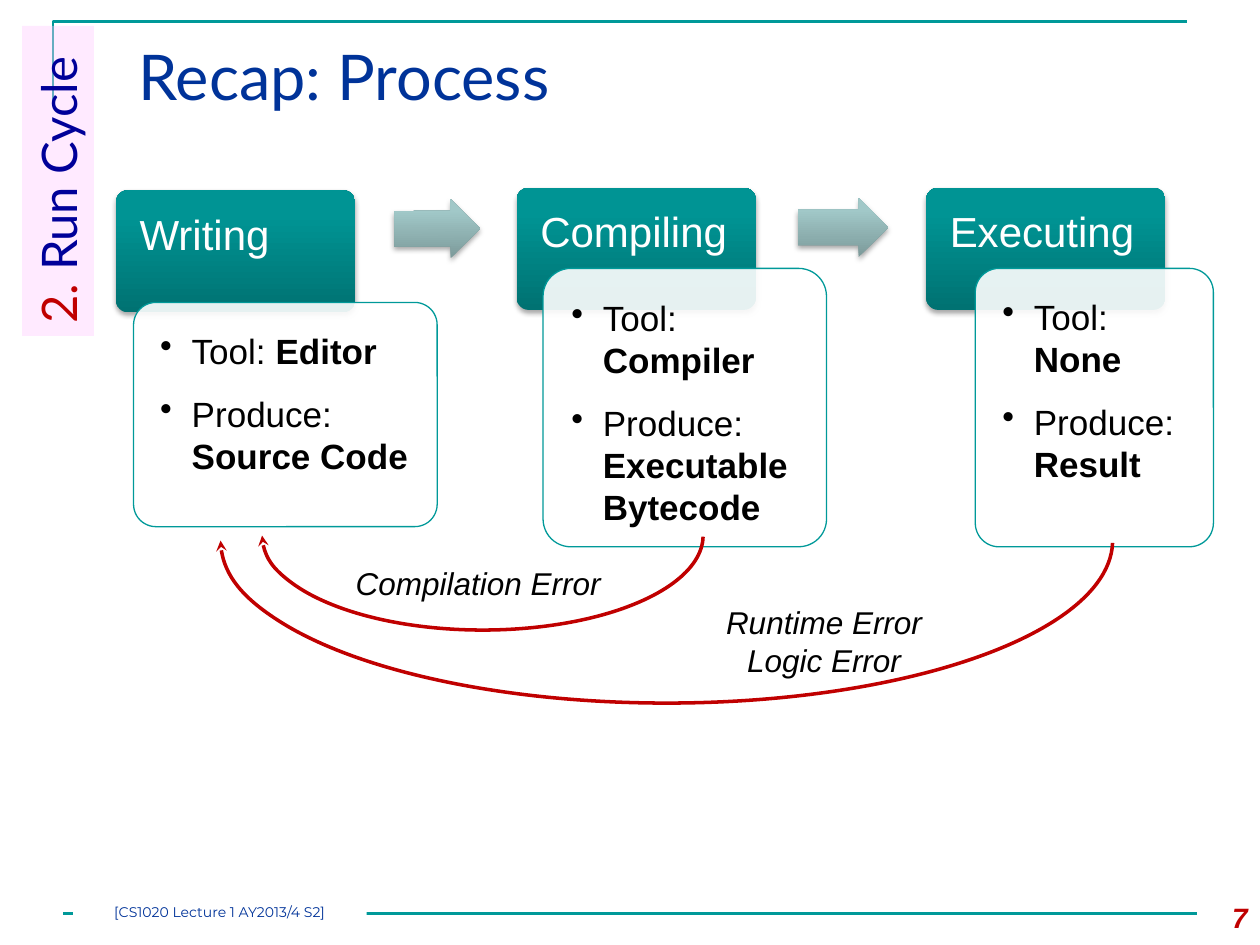
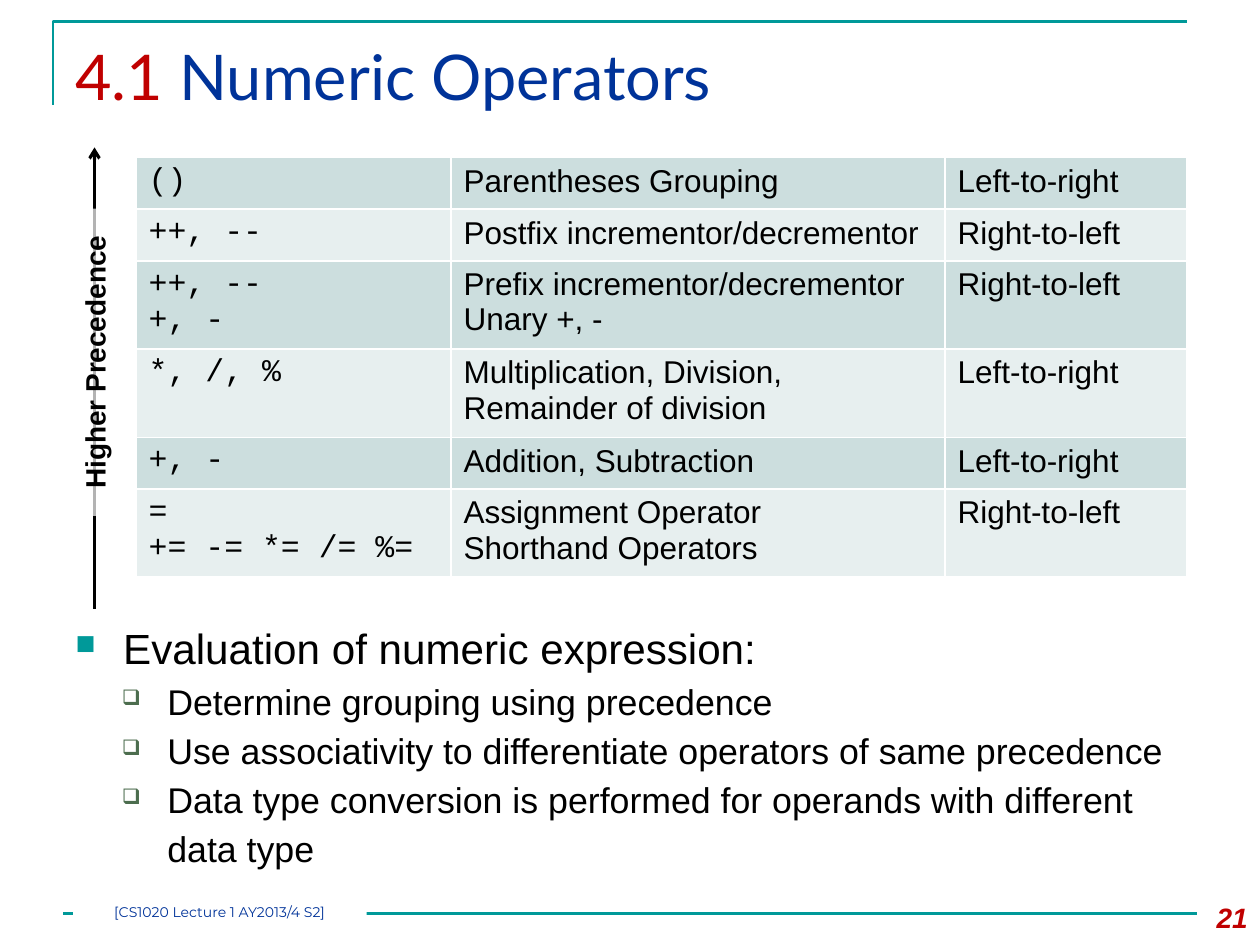
from lxml import etree
from pptx import Presentation
from pptx.dml.color import RGBColor
from pptx.enum.shapes import MSO_CONNECTOR, MSO_SHAPE
from pptx.enum.text import MSO_ANCHOR, PP_ALIGN
from pptx.oxml.ns import qn
from pptx.util import Inches, Pt

RECT, ROUND_RECT = MSO_SHAPE.RECTANGLE, MSO_SHAPE.ROUNDED_RECTANGLE
RIGHT_ARROW, ARC = MSO_SHAPE.RIGHT_ARROW, MSO_SHAPE.ARC
STRAIGHT = MSO_CONNECTOR.STRAIGHT
TOP, MIDDLE = MSO_ANCHOR.TOP, MSO_ANCHOR.MIDDLE
LEFT, CENTER, RIGHT = PP_ALIGN.LEFT, PP_ALIGN.CENTER, PP_ALIGN.RIGHT

WHITE = RGBColor(0xFF, 0xFF, 0xFF)
BLACK = RGBColor(0x00, 0x00, 0x00)
TEAL = RGBColor(0x00, 0x99, 0x99)
HEADER_DARK = RGBColor(0x00, 0x72, 0x72)
HEADER_LIGHT = RGBColor(0x00, 0x94, 0x94)
ARROW_DARK = RGBColor(0x7C, 0x9A, 0x9A)
ARROW_LIGHT = RGBColor(0xA1, 0xC8, 0xC8)
TITLE_BLUE = RGBColor(0x00, 0x33, 0x99)
NAVY = RGBColor(0x00, 0x00, 0x99)
RED = RGBColor(0xC0, 0x00, 0x00)
PINK = RGBColor(0xFF, 0xCC, 0xFF)
GREEN = RGBColor(0x4C, 0x6D, 0x4E)
ROW_FILLS = (RGBColor(0xCC, 0xDE, 0xDE), RGBColor(0xE7, 0xEF, 0xEF))

BODY_FONT, TITLE_FONT = "Arial", "Lato"
CODE_FONT, FOOTER_FONT = "Courier New", "Montserrat"
FOOTER = "[CS1020 Lecture 1 AY2013/4 S2]"
INSETS = (0.1, 0.05, 0.1, 0.05)


# Shared helpers
def add_xml(parent, tag, **attributes):
    return etree.SubElement(parent, qn(tag), attributes)


def add_bullet(para, char, left, hanging, color=None, percent=None):
    properties = para._p.get_or_add_pPr()
    properties.set("marL", str(Inches(left)))
    properties.set("indent", str(-Inches(hanging)))
    if color is not None:
        add_xml(add_xml(properties, "a:buClr"), "a:srgbClr", val=str(color))
    if percent:
        add_xml(properties, "a:buSzPct", val=str(percent * 1000))
    add_xml(properties, "a:buChar", char=char)


def write(frame, paras, font=BODY_FONT, size=18, color=BLACK, bold=False,
          italic=False, align=LEFT, anchor=TOP, insets=INSETS, bullet=None,
          line_spacing=None, space_after=None):
    """Each paragraph is a string or a list of (text, overrides) spans."""
    frame.word_wrap = True
    frame.vertical_anchor = anchor
    (frame.margin_left, frame.margin_top,
     frame.margin_right, frame.margin_bottom) = map(Inches, insets)
    for index, spans in enumerate(paras):
        para = frame.paragraphs[0] if index == 0 else frame.add_paragraph()
        if bullet:
            add_bullet(para, **(bullet if isinstance(bullet, dict) else bullet[index]))
        para.alignment = align
        para.line_spacing = line_spacing
        if space_after:
            para.space_after = Pt(space_after)
        for text, changes in [(spans, {})] if isinstance(spans, str) else spans:
            span = para.add_run()
            span.text = text
            span.font.name = font
            span.font.size = Pt(changes.get("size", size))
            span.font.bold = changes.get("bold", bold)
            span.font.italic = italic
            span.font.color.rgb = changes.get("color", color)


def add_text(page, box, paras, **style):
    shape = page.shapes.add_textbox(*map(Inches, box))
    write(shape.text_frame, paras, **style)


def set_line(shape, color, width):
    shape.line.color.rgb = color
    shape.line.width = Pt(width)


def add_shape(page, kind, box, fill=None, opacity=None, line=None, rotation=0):
    shape = page.shapes.add_shape(kind, *map(Inches, box))
    shape.shadow.inherit = False
    shape.rotation = rotation
    if fill is None:
        shape.fill.background()
    else:
        shape.fill.solid()
        shape.fill.fore_color.rgb = fill
    if opacity:
        solid = shape._element.spPr.find(qn("a:solidFill"))
        add_xml(solid[0], "a:alpha", val=str(opacity * 1000))
    if line:
        set_line(shape, *line)
    else:
        shape.line.fill.background()
    return shape


def add_raised_shape(page, kind, box, dark, light, rotation=0):
    shape = add_shape(page, kind, box, rotation=rotation)
    shape.fill.gradient()
    shape.fill.gradient_angle = 90
    for stop, color, position in zip(shape.fill.gradient_stops, (dark, light), (0, 0.8)):
        stop.color.rgb = color
        stop.position = position
    effects = shape._element.spPr.find(qn("a:effectLst"))
    shadow = add_xml(effects, "a:outerShdw", blurRad=str(Pt(3.1)), dist=str(Pt(1.8)),
                     dir="5400000", rotWithShape="0")
    add_xml(add_xml(shadow, "a:srgbClr", val="000000"), "a:alpha", val="35000")
    return shape


def add_arrowhead(shape, kind):
    add_xml(shape._element.spPr.find(qn("a:ln")), "a:tailEnd", type=kind)


def add_line(page, start, end, color, width):
    line = page.shapes.add_connector(STRAIGHT, *map(Inches, start + end))
    set_line(line, color, width)
    add_xml(line._element.spPr, "a:effectLst")
    return line


# What every slide shares: frame, footer line, title, footer, number
def add_page(deck, title, title_left, number):
    page = deck.slides.add_slide(deck.slide_layouts[6])
    builder = page.shapes.build_freeform(Inches(0.42), Inches(0.83))
    builder.add_line_segments(
        [(Inches(0.42), Inches(0.17)), (Inches(9.42), Inches(0.17))], close=False)
    corner = builder.convert_to_shape()
    corner.shadow.inherit = False
    corner.fill.background()
    set_line(corner, TEAL, 1.5)
    add_line(page, (0.5, 7.25), (9.5, 7.25), TEAL, 1.5)
    add_text(page, (title_left, 0.25, 9.5 - title_left, 0.86), [title],
             font=TITLE_FONT, size=36, color=TITLE_BLUE)
    footer = add_shape(page, RECT, (0.58, 7.17, 2.33, 0.17), WHITE)
    write(footer.text_frame, [FOOTER], font=FOOTER_FONT, size=8, color=TITLE_BLUE,
          align=CENTER, insets=(0, 0, 0, 0))
    add_text(page, (9.33, 7.1, 0.67, 0.4), [number], size=16, color=RED,
             bold=True, italic=True, align=RIGHT)
    return page


# Slide 1: run cycle
def add_stage(page, left, top, name, details, tool, product):
    header = add_raised_shape(page, ROUND_RECT, (left, top, 1.9, 0.97),
                              HEADER_DARK, HEADER_LIGHT)
    header.adjustments[0] = 0.1
    write(header.text_frame, [name], size=24, color=WHITE, line_spacing=0.9,
          insets=(0.16, 0.16, 0.16, 0.1))
    offset_x, offset_y, width, height = details
    card = add_shape(page, ROUND_RECT, (left + offset_x, top + offset_y, width, height),
                     WHITE, opacity=90, line=(TEAL, 0.75))
    card.adjustments[0] = 0.1
    lines = [[(label, {}), (value, {"bold": True})]
             for label, value in (("Tool: ", tool), ("Produce: ", product))]
    write(card.text_frame, lines, size=20, space_after=12, insets=(0.16,) * 4,
          bullet=dict(char="•", left=0.25, hanging=0.25))


def add_step_arrow(page, box, rotation=0):
    arrow = add_raised_shape(page, RIGHT_ARROW, box, ARROW_DARK, ARROW_LIGHT, rotation)
    arrow.adjustments[0] = 0.6


def add_error_loop(page, box, caption_box, captions):
    loop = add_shape(page, ARC, box, line=(RED, 2), rotation=180)
    loop.adjustments[0] = 108.18
    loop.adjustments[1] = 0
    add_arrowhead(loop, "stealth")
    add_text(page, caption_box, captions, italic=True, align=CENTER, anchor=MIDDLE)


def add_section_tab(page, box, number, name):
    tab = add_shape(page, RECT, box, PINK, opacity=40, rotation=270)
    write(tab.text_frame, [[(number, {"color": RED}), (name, {})]],
          font=TITLE_FONT, size=28, color=NAVY)


def build_process_slide(deck):
    page = add_page(deck, "Recap: Process", 1, "7")
    add_stage(page, 0.92, 1.51, "Writing", (0.14, 0.89, 2.41, 1.78),
              "Editor", "Source Code")
    add_step_arrow(page, (3.13, 1.58, 0.68, 0.47), 359.7)
    add_stage(page, 4.1, 1.49, "Compiling", (0.21, 0.64, 2.25, 2.21),
              "Compiler", "Executable Bytecode")
    add_step_arrow(page, (6.33, 1.57, 0.72, 0.47))
    add_stage(page, 7.35, 1.49, "Executing", (0.39, 0.64, 1.89, 2.21),
              "None", "Result")
    add_error_loop(page, (2.08, 3.5, 3.5, 1.5), (2.42, 4.25, 2.75, 0.75),
                   ["Compilation Error"])
    add_error_loop(page, (1.75, 3, 7.08, 2.58), (5.08, 4.58, 2.92, 1.01),
                   ["Runtime Error", "Logic Error"])
    add_section_tab(page, (-0.77, 1.15, 2.46, 0.57), "2. ", "Run Cycle")


# Slide 2: operators
def fill_cell(cell, lines, font, fill):
    write(cell.text_frame, lines, font=font)
    cell.fill.solid()
    cell.fill.fore_color.rgb = fill
    properties = cell._tc.get_or_add_tcPr()
    for index, side in enumerate(("a:lnL", "a:lnR", "a:lnT", "a:lnB")):
        border = add_xml(properties, side, w=str(Pt(1)))
        add_xml(add_xml(border, "a:solidFill"), "a:srgbClr", val=str(WHITE))
        properties.insert(index, border)


def add_operator_table(page, left, top, rows):
    widths = (2.5, 3.92, 1.92)
    frame = page.shapes.add_table(len(rows), len(widths), Inches(left), Inches(top),
                                  Inches(sum(widths)), Inches(0.41 * len(rows)))
    table = frame.table
    table.first_row = table.horz_banding = False
    for column, width in zip(table.columns, widths):
        column.width = Inches(width)
    for row, texts in enumerate(rows):
        for column, text in enumerate(texts):
            fill_cell(table.cell(row, column), text.split("\n"),
                      CODE_FONT if column == 0 else BODY_FONT, ROW_FILLS[row % 2])


def add_precedence_arrow(page, center, top, bottom):
    arrow = add_line(page, (center, bottom), (center, top), BLACK, 1.75)
    add_arrowhead(arrow, "arrow")
    width, height = 2.44, 0.67
    label = add_shape(page, RECT, (center - width / 2, 2.54, width, height),
                      WHITE, opacity=70, rotation=270)
    write(label.text_frame, ["Higher Precedence"], size=16, bold=True,
          align=CENTER, anchor=MIDDLE)


def add_outline(page, box, heading, points):
    main = dict(char="■", left=0.38, hanging=0.38, color=TEAL, percent=65)
    sub = dict(char="❑", left=0.73, hanging=0.36, color=GREEN, percent=60)
    add_text(page, box, [[(heading, {"size": 24.1})]] + points, size=20.4,
             line_spacing=1.15, bullet=[main] + [sub] * len(points))


def build_operators_slide(deck):
    page = add_page(deck, [("4.1", {"color": RED}), (" Numeric Operators", {})], 0.5, "21")
    add_operator_table(page, 1.08, 1.25, [
        ("()", "Parentheses Grouping", "Left-to-right"),
        ("++, --", "Postfix incrementor/decrementor", "Right-to-left"),
        ("++, --\n+, -", "Prefix incrementor/decrementor\nUnary +, -", "Right-to-left"),
        ("*, /, %", "Multiplication, Division, Remainder of division", "Left-to-right"),
        ("+, -", "Addition, Subtraction", "Left-to-right"),
        ("=\n+= -= *= /= %=", "Assignment Operator\nShorthand Operators", "Right-to-left"),
    ])
    add_precedence_arrow(page, 0.75, 1.17, 4.83)
    add_outline(page, (0.5, 4.83, 9, 2.33), "Evaluation of numeric expression:", [
        "Determine grouping using precedence",
        "Use associativity to differentiate operators of same precedence",
        "Data type conversion is performed for operands with different data type",
    ])


def main():
    deck = Presentation()
    deck.slide_width, deck.slide_height = Inches(10), Inches(7.5)
    build_process_slide(deck)
    build_operators_slide(deck)
    deck.save("out.pptx")


if __name__ == "__main__":
    main()
